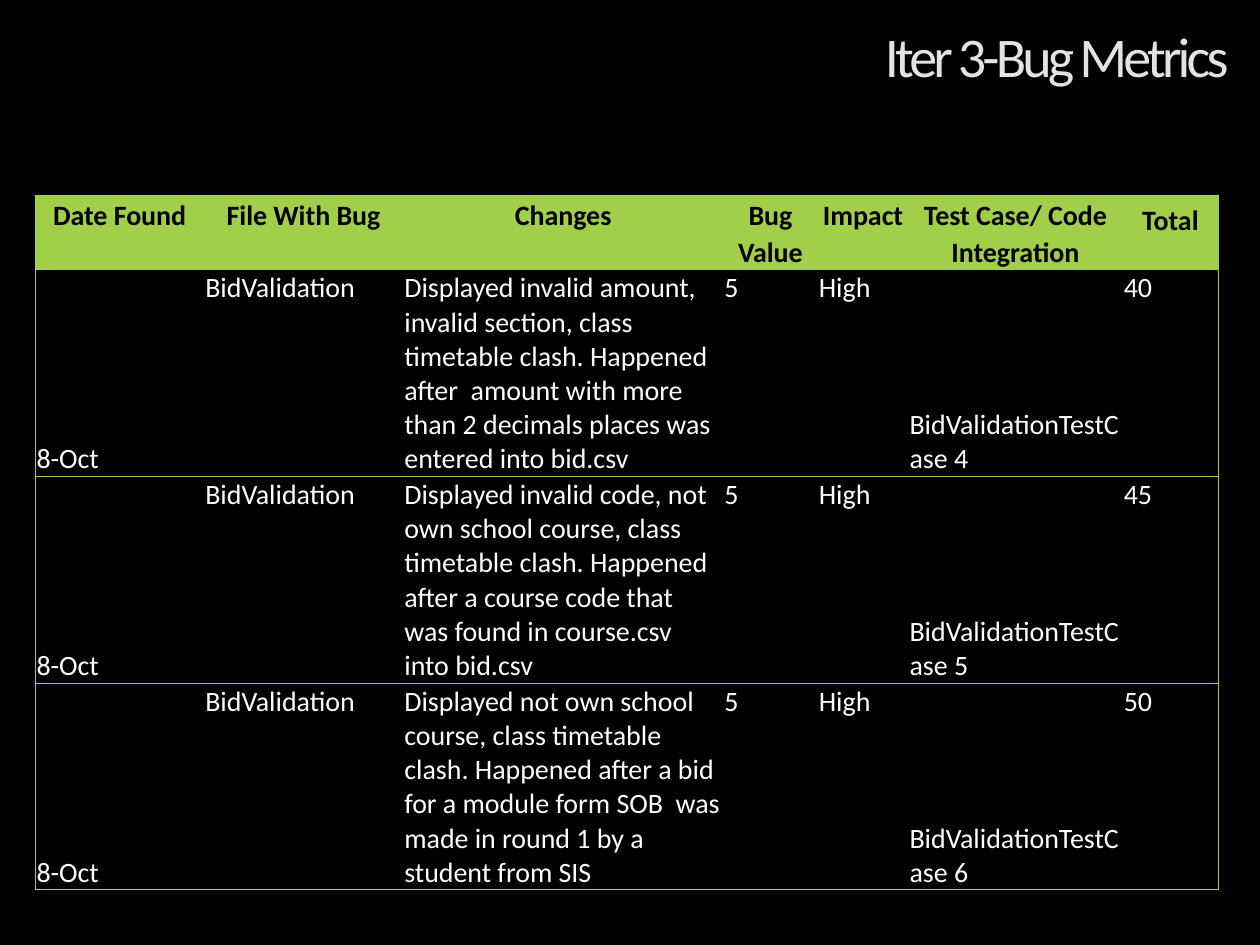
import pptx
import pptx.dml.color
import pptx.enum.text
import pptx.oxml.ns
import pptx.util
from lxml import etree

Inches = pptx.util.Inches
Pt = pptx.util.Pt
Align = pptx.enum.text.PP_ALIGN
Anchor = pptx.enum.text.MSO_ANCHOR
qn = pptx.oxml.ns.qn

BLACK = pptx.dml.color.RGBColor(0x00, 0x00, 0x00)
WHITE = pptx.dml.color.RGBColor(0xFF, 0xFF, 0xFF)
GREEN = pptx.dml.color.RGBColor(0xA2, 0xCF, 0x49)
SILVER = pptx.dml.color.RGBColor(0xE3, 0xE3, 0xE3)

FONT = "Calibri"
COLUMN_WIDTHS = [1.34, 1.58, 2.54, 0.75, 0.72, 1.7, 0.76]
HEADER_HEIGHT, BUG_HEIGHT = 0.59, 1.6
BOTTOM_COLUMNS = (0, 2, 5)
HEADINGS = ["Date Found", "File With Bug", "Changes", "Bug Value", "Impact",
            "Test Case/ Code Integration", "Total"]
BUGS = [
    ("Displayed invalid amount, invalid section, class timetable clash. Happened "
     "after  amount with more than 2 decimals places was entered into bid.csv", 4, 40),
    ("Displayed invalid code, not own school course, class timetable clash. Happened "
     "after a course code that was found in course.csv into bid.csv", 5, 45),
    ("Displayed not own school course, class timetable clash. Happened after a bid "
     "for a module form SOB  was made in round 1 by a student from SIS", 6, 50),
]


def style_paragraph(paragraph, size, color, bold=False):
    """Give a paragraph its font, size and colour."""
    paragraph.font.name = FONT
    paragraph.font.size = Pt(size)
    paragraph.font.bold = bold
    paragraph.font.color.rgb = color


def add_title(slide, text):
    """Fill the title placeholder at the top right."""
    title = slide.shapes.title
    title.left, title.top = Inches(1.23), Inches(-0.25)
    title.width, title.height = Inches(8.62), Inches(1.45)
    title.text_frame.text = text
    title.text_frame.vertical_anchor = Anchor.MIDDLE
    heading = title.text_frame.paragraphs[0]
    heading.alignment = Align.RIGHT
    heading.line_spacing = 0.9
    style_paragraph(heading, 32, SILVER)
    heading._p.pPr.find(qn("a:defRPr")).set("spc", "-220")


def set_borders(cell, visible_sides):
    """Draw thin green borders on the named sides and none on the others."""
    properties = cell._tc.get_or_add_tcPr()
    for side in "LRTB":
        line = etree.SubElement(properties, qn(f"a:ln{side}"), w=str(Pt(0.5)))
        if side in visible_sides:
            fill = etree.SubElement(line, qn("a:solidFill"))
            etree.SubElement(fill, qn("a:srgbClr"), val=str(GREEN))
        else:
            etree.SubElement(line, qn("a:noFill"))


def fill_cell(cell, text, is_header, column):
    """Write and format one table cell."""
    last = len(COLUMN_WIDTHS) - 1
    set_borders(cell, "TB" + "L" * (column == 0) + "R" * (column == last))
    cell.fill.solid()
    cell.fill.fore_color.rgb = GREEN if is_header else BLACK
    if not (is_header and column == last):
        cell.margin_left = cell.margin_right = cell.margin_top = Inches(0.01)
        cell.margin_bottom = 0
    cell.text = text
    paragraph = cell.text_frame.paragraphs[0]
    if is_header:
        paragraph.alignment = Align.CENTER
        paragraph.line_spacing = 1.07
    elif column in BOTTOM_COLUMNS:
        cell.vertical_anchor = Anchor.BOTTOM
    style_paragraph(paragraph, 16, BLACK if is_header else WHITE, is_header)


def add_bug_table(slide):
    """Add the table of bugs found in the iteration."""
    rows = [HEADINGS] + [
        ["8-Oct", "BidValidation", changes, "5", "High",
         f"BidValidationTestCase {case}", str(total)]
        for changes, case, total in BUGS
    ]
    height = HEADER_HEIGHT + BUG_HEIGHT * len(BUGS)
    table = slide.shapes.add_table(
        len(rows), len(HEADINGS), Inches(0.28), Inches(1.55),
        Inches(sum(COLUMN_WIDTHS)), Inches(height)).table
    for column, width in zip(table.columns, COLUMN_WIDTHS):
        column.width = Inches(width)
    for row_index, row in enumerate(rows):
        is_header = row_index == 0
        table.rows[row_index].height = Inches(HEADER_HEIGHT if is_header else BUG_HEIGHT)
        for column, text in enumerate(row):
            fill_cell(table.cell(row_index, column), text, is_header, column)


def main():
    """Build the bug metrics slide."""
    deck = pptx.Presentation()
    deck.slide_width, deck.slide_height = Inches(10), Inches(7.5)
    slide = deck.slides.add_slide(deck.slide_layouts[5])
    slide.background.fill.solid()
    slide.background.fill.fore_color.rgb = BLACK
    add_title(slide, "Iter 3-Bug Metrics")
    add_bug_table(slide)
    deck.save("out.pptx")


if __name__ == "__main__":
    main()
